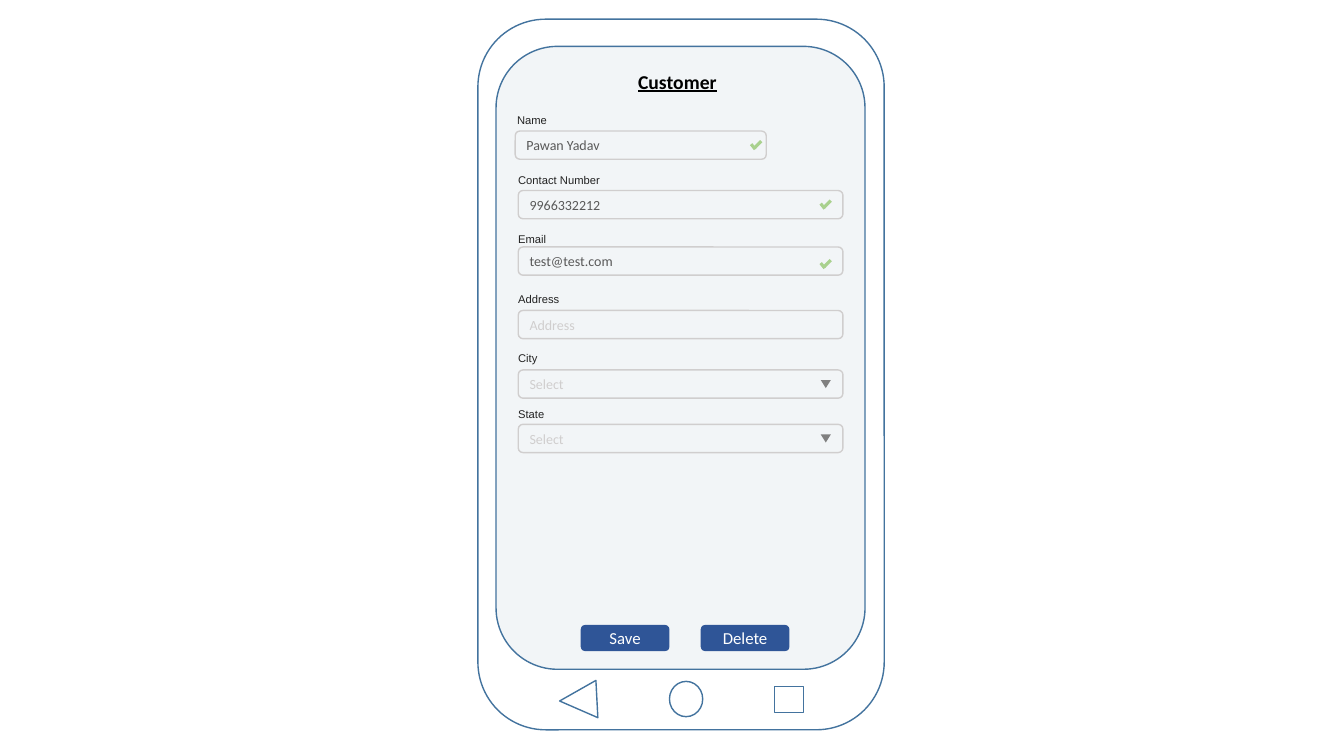
from collections import namedtuple

from pptx import Presentation
from pptx.dml.color import RGBColor
from pptx.enum.shapes import MSO_CONNECTOR, MSO_SHAPE
from pptx.enum.text import MSO_ANCHOR, MSO_AUTO_SIZE, PP_ALIGN
from pptx.oxml.ns import qn
from pptx.util import Pt
from lxml.etree import SubElement

PX = 9144  # 100 px to the inch
OUTLINE, GREY, GREEN, BLUE = "43739E", "D0CECE", "A9D18E", "2F5597"

Box = namedtuple("Box", "left top width height")
Field = namedtuple("Field", "label label_width top gap value marker marker_drop")

LABEL = {"name": "Arial", "size": 8, "color": "222222"}
VALUE = {"name": "Calibri", "size": 10, "color": "595959"}
HINT = {**VALUE, "color": GREY}
TITLE = {"name": "Calibri", "size": 14, "color": "000000", "bold": True, "underline": True}
BUTTON = {"name": "Calibri", "size": 12, "color": "FFFFFF"}

# Tops are measured from the top of the screen
FIELDS = [
    Field("Name", 50, 62, 22, "Pawan Yadav", "check", 10),
    Field("Contact Number", 102, 121, 22, "9966332212", "check", 10),
    Field("Email", 48, 180, 19, "test@test.com", "check", 13),
    Field("Address", 62, 239, 23, "Address", None, 0),
    Field("City", 39, 298, 23, "Select", "arrow", 10),
    Field("State", 47, 353, 22, "Select", "arrow", 10),
]


def color(value):
    return RGBColor.from_string(value)


def emu(lengths):
    return [length * PX for length in lengths]


def write(frame, text, look, align=PP_ALIGN.LEFT):
    para = frame.paragraphs[0]
    para.alignment = align
    span = para.add_run()
    span.text = text
    for key, value in look.items():
        if key == "color":
            span.font.color.rgb = color(value)
        else:
            setattr(span.font, key, Pt(value) if key == "size" else value)


def add_box(page, kind, box, fill=None, line=None, rotation=0):
    shape = page.shapes.add_shape(kind, *emu(box))
    shape.shadow.inherit = False
    shape.rotation = rotation
    if fill:
        shape.fill.solid()
        shape.fill.fore_color.rgb = color(fill)
    else:
        shape.fill.background()
    if line:
        shape.line.color.rgb = color(line)
        shape.line.width = Pt(1)
    else:
        shape.line.fill.background()
    return shape


def add_text(page, box, text, look, wrap=False):
    frame = page.shapes.add_textbox(*emu(box)).text_frame
    frame.word_wrap = wrap
    frame.auto_size = MSO_AUTO_SIZE.SHAPE_TO_FIT_TEXT
    write(frame, text, look)


def add_filled_in(page, box, text, look, align=PP_ALIGN.LEFT, **paint):
    """Add a rounded box with its text in the middle of its height."""
    shape = add_box(page, MSO_SHAPE.ROUNDED_RECTANGLE, box, **paint)
    shape.text_frame.vertical_anchor = MSO_ANCHOR.MIDDLE
    write(shape.text_frame, text, look, align)


def add_check(page, left, top):
    for stroke in ((0, 3, 4, 8), (3, 7, 10, 0)):
        ends = [end + (left, top)[i % 2] for i, end in enumerate(stroke)]
        line = page.shapes.add_connector(MSO_CONNECTOR.STRAIGHT, *emu(ends))
        line.line.color.rgb = color(GREEN)
        line.line.width = Pt(2.25)
        SubElement(line._element.spPr, qn("a:effectLst"))


def add_phone(page, phone, screen):
    bottom = phone.top + phone.height
    buttons = [
        (MSO_SHAPE.OVAL, Box(phone.left + 190, bottom - 48, 33, 35), 0),
        (MSO_SHAPE.RECTANGLE, Box(phone.left + 294, bottom - 43, 29, 26), 0),
        (MSO_SHAPE.FLOWCHART_MERGE, Box(phone.left + 81, bottom - 48, 37, 37), 87),
    ]
    for kind, box, rotation in buttons:
        add_box(page, kind, box, line=OUTLINE, rotation=rotation)
    add_box(page, MSO_SHAPE.ROUNDED_RECTANGLE, phone, line=OUTLINE)
    add_box(page, MSO_SHAPE.ROUNDED_RECTANGLE, screen, "F2F5F7", OUTLINE)


def add_field(page, screen, field):
    short = field.label == "Name"
    top = screen.top + field.top
    entry = Box(screen.left + (19 if short else 22), top + field.gap,
                249 if short else 322, 28)
    label = Box(screen.left + (11 if short else 12), top, field.label_width, 24)
    add_text(page, label, field.label, LABEL)
    look = VALUE if field.marker == "check" else HINT
    add_filled_in(page, entry, field.value, look, line=GREY)
    marker_left = entry.left + entry.width - (15 if short else 22)
    marker_top = entry.top + field.marker_drop
    if field.marker == "check":
        add_check(page, marker_left, marker_top)
    elif field.marker == "arrow":
        arrow = Box(marker_left, marker_top, 10, 8)
        add_box(page, MSO_SHAPE.ISOSCELES_TRIANGLE, arrow, "808080", rotation=180)


def add_form(page, screen):
    title = Box(screen.left + 131, screen.top + 18, 122, 34)
    add_text(page, title, "Customer", TITLE, wrap=True)
    for field in FIELDS:
        add_field(page, screen, field)
    for i, caption in enumerate(("Save", "Delete")):
        button = Box(screen.left + 84 + 119 * i, screen.top + 574, 88, 26)
        add_filled_in(page, button, caption, BUTTON, PP_ALIGN.CENTER, fill=BLUE)


def main():
    deck = Presentation()
    deck.slide_width, deck.slide_height = emu((1333, 750))
    page = deck.slides.add_slide(deck.slide_layouts[6])
    screen = Box(492, 46, 366, 618)
    add_phone(page, Box(474, 19, 403, 705), screen)
    add_form(page, screen)
    deck.save("out.pptx")


if __name__ == "__main__":
    main()
